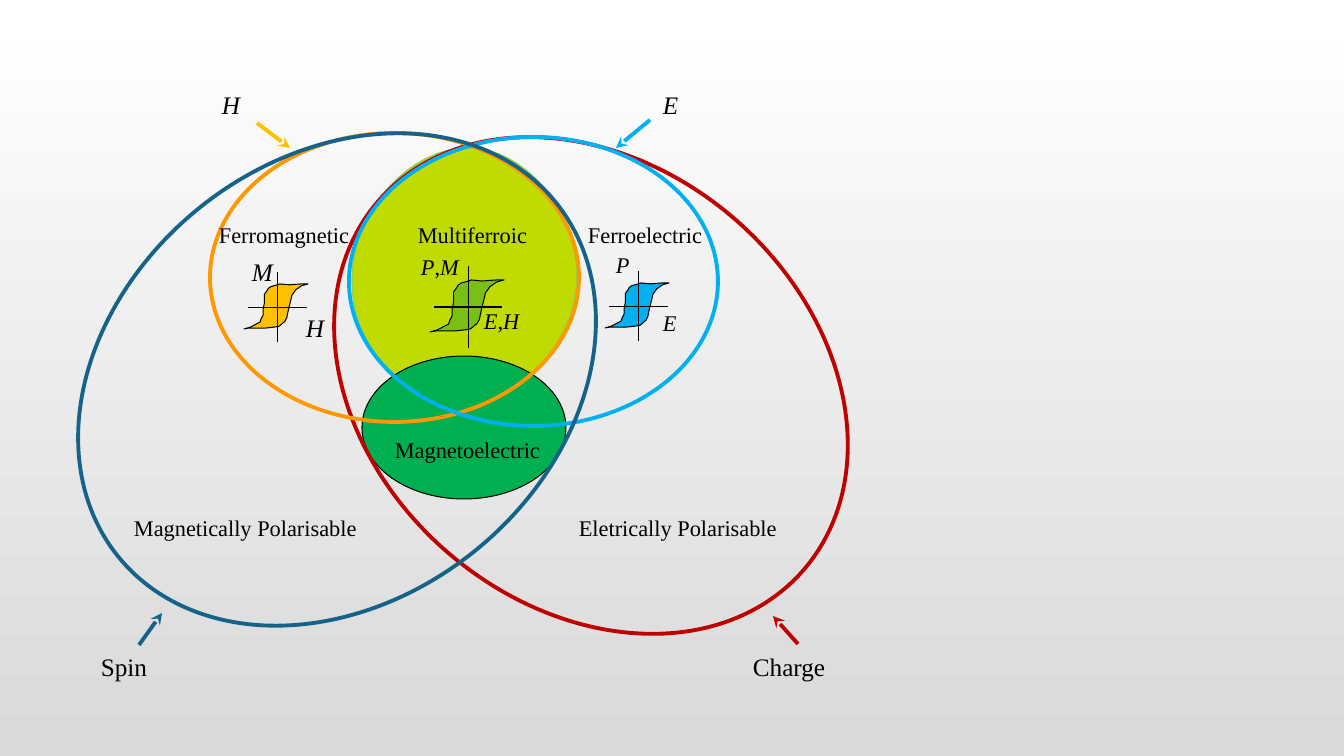
import pptx
import pptx.util
import pptx.dml.color
import pptx.enum.shapes
import pptx.oxml
import pptx.oxml.ns

RGBColor = pptx.dml.color.RGBColor
WHITE = RGBColor(0xFF, 0xFF, 0xFF)
GREY = RGBColor(0xD9, 0xD9, 0xD9)
BLACK = RGBColor(0, 0, 0)
LIME = RGBColor(0xC0, 0xDB, 0x02)
LEAF = RGBColor(0x92, 0xD0, 0x50)
GREEN = RGBColor(0x00, 0xB0, 0x50)
MOSS = RGBColor(0x7A, 0xBF, 0x14)
RED = RGBColor(0xC0, 0, 0)
SKY = RGBColor(0x00, 0xB0, 0xF0)
AMBER = RGBColor(0xFF, 0xC0, 0)
ORANGE = RGBColor(0xFF, 0x98, 0)
TEAL = RGBColor(0x15, 0x63, 0x89)

EMU_PER_PX = 914400 / 100.8
FONT = "Times New Roman"
RING_WIDTH = 2.75

# Multiferroic overlap: start point, then cubic segments (control, control, end)
OVERLAP_START = (352, 279)
OVERLAP_CURVES = [
    ((352, 210), (411, 148), (468, 148)),
    ((523, 148), (577, 208), (577, 277)),
    ((576, 320), (555, 350), (535, 371)),
    ((517, 391), (494, 400), (465, 410)),
    ((439, 405), (455, 405), (426, 394)),
    ((398, 382), (352, 349), (352, 279)),
]

# Ellipses: box, rotation, fill, line colour, line width
REGIONS = [
    ((362, 356, 204, 143), 0, GREEN, BLACK, 0.75),
    ((371, 104, 440, 563), 311, None, RED, RING_WIDTH),
    ((210, 133, 369, 289), 0, None, ORANGE, RING_WIDTH),
    ((349, 137, 369, 289), 0, None, SKY, RING_WIDTH),
    ((117, 98, 440, 563), 51, None, TEAL, RING_WIDTH),
]

# Hysteresis outline in percent of its box
HYSTERESIS = [
    (100, 0), (89, 0), (70, 2), (56, 0), (52, 2), (47, 4), (42, 6), (38, 10),
    (36, 15), (32, 23), (32, 31), (32, 42), (30, 56), (30, 69), (27, 77),
    (25, 85), (18, 90), (10, 96), (0, 100), (8, 98), (16, 98), (34, 98),
    (47, 96), (55, 94), (64, 83), (67, 75), (68, 67), (70, 54), (73, 37),
    (75, 25), (81, 13), (90, 4),
]
LOOPS = [
    ((605, 283, 64, 45), SKY),
    ((244, 284, 64, 45), AMBER),
    ((430, 280, 74, 52), MOSS),
]

# Field arrows: from, to, colour
ARROWS = [
    ((257, 123), (290, 148), AMBER),
    ((650, 120), (616, 148), SKY),
    ((139, 645), (162, 613), TEAL),
    ((798, 644), (773, 616), RED),
]

# Labels: text, left, top, width, size
NAMES = [
    ("Ferromagnetic", 209, 216, 158, 16),
    ("Ferroelectric", 578, 216, 141, 16),
    ("Multiferroic", 408, 216, 145, 16),
    ("Magnetoelectric", 385, 431, 173, 16),
    ("Magnetically Polarisable", 124, 509, 261, 16),
    ("Eletrically Polarisable", 569, 509, 239, 16),
    ("Charge", 743, 646, 104, 18),
    ("Spin", 91, 646, 72, 18),
]
SYMBOLS = [
    ("P", 606, 246, 26, 16),
    ("E", 653, 304, 26, 16),
    ("M", 242, 251, 26, 18),
    ("H", 296, 307, 26, 18),
    ("P,M", 411, 248, 91, 16),
    ("E,H", 474, 302, 77, 16),
    ("E", 653, 84, 46, 18),
    ("H", 212, 84, 46, 18),
]


def emu(*pixels):
    """Turn pixel lengths into a list of EMU."""
    return [round(p * EMU_PER_PX) for p in pixels]


def paint(shape, fill, line, width):
    """Give a shape its fill and outline, without shadow."""
    shape.shadow.inherit = False
    if fill is None:
        shape.fill.background()
    else:
        shape.fill.solid()
        shape.fill.fore_color.rgb = fill
    shape.line.color.rgb = line
    shape.line.width = pptx.util.Pt(width)


def add_outline(points, fill, line, width):
    """Add a closed outline through pixel points."""
    start, *rest = [emu(*point) for point in points]
    builder = slide.shapes.build_freeform(*start)
    builder.add_line_segments(rest, close=True)
    paint(builder.convert_to_shape(), fill, line, width)


def flatten(start, curves, steps=16):
    """Sample cubic segments as a list of points."""
    points = [start]
    for first, second, end in curves:
        corners = (points[-1], first, second, end)
        for step in range(1, steps + 1):
            t = step / steps
            weights = ((1 - t) ** 3, 3 * t * (1 - t) ** 2, 3 * t * t * (1 - t), t ** 3)
            points.append(tuple(
                sum(w * corner[axis] for w, corner in zip(weights, corners))
                for axis in (0, 1)))
    return points


def add_line(start, end, color, width, arrow=False):
    """Add a straight line, with a stealth head at its end if asked."""
    line = slide.shapes.add_connector(
        pptx.enum.shapes.MSO_CONNECTOR.STRAIGHT, *emu(*start, *end))
    line.line.color.rgb = color
    line.line.width = pptx.util.Pt(width)
    properties = line._element.spPr
    if arrow:
        head = pptx.oxml.parse_xml(
            f'<a:tailEnd {pptx.oxml.ns.nsdecls("a")} type="stealth"/>')
        properties.find(pptx.oxml.ns.qn("a:ln")).append(head)
    properties.append(pptx.oxml.parse_xml(
        f'<a:effectLst {pptx.oxml.ns.nsdecls("a")}/>'))


def add_loop(box, fill):
    """Add a hysteresis loop and its two axes."""
    x, y, w, h = box
    add_outline([(x + w * px / 100, y + h * py / 100) for px, py in HYSTERESIS],
                fill, BLACK, 0.75)
    cx, cy = x + 0.52 * w, y + 0.52 * h
    reach, rise = 0.46 * w, 0.78 * h
    add_line((cx - reach, cy), (cx + reach, cy), BLACK, 1)
    add_line((cx, cy + rise), (cx, cy - rise), BLACK, 1)


def add_label(text, left, top, width, size, symbol=False):
    """Add a label; symbols have italic letters and upright commas."""
    height = 40 if size == 18 else 37
    frame = slide.shapes.add_textbox(*emu(left, top, width, height)).text_frame
    frame.word_wrap = True
    for part in (text if symbol else [text]):
        run = frame.paragraphs[0].add_run()
        run.text = part
        run.font.color.rgb = BLACK
        style = {"name": FONT, "size": pptx.util.Pt(size),
                 "italic": symbol and part != ","}
        for key, value in style.items():
            setattr(run.font, key, value)


deck = pptx.Presentation()
deck.slide_width, deck.slide_height = emu(1344, 756)
slide = deck.slides.add_slide(deck.slide_layouts[6])

backdrop = slide.background.fill
backdrop.gradient()
backdrop.gradient_angle = 270
for stop, color, position in zip(backdrop.gradient_stops, (WHITE, GREY), (0, 1)):
    stop.color.rgb = color
    stop.position = position

add_outline(flatten(OVERLAP_START, OVERLAP_CURVES), LIME, LEAF, 1)
for box, rotation, fill, line, width in REGIONS:
    region = slide.shapes.add_shape(pptx.enum.shapes.MSO_SHAPE.OVAL, *emu(*box))
    region.rotation = rotation
    paint(region, fill, line, width)
for box, fill in LOOPS:
    add_loop(box, fill)
for start, end, color in ARROWS:
    add_line(start, end, color, RING_WIDTH, arrow=True)
for name in NAMES:
    add_label(*name)
for symbol in SYMBOLS:
    add_label(*symbol, symbol=True)

deck.save("out.pptx")
